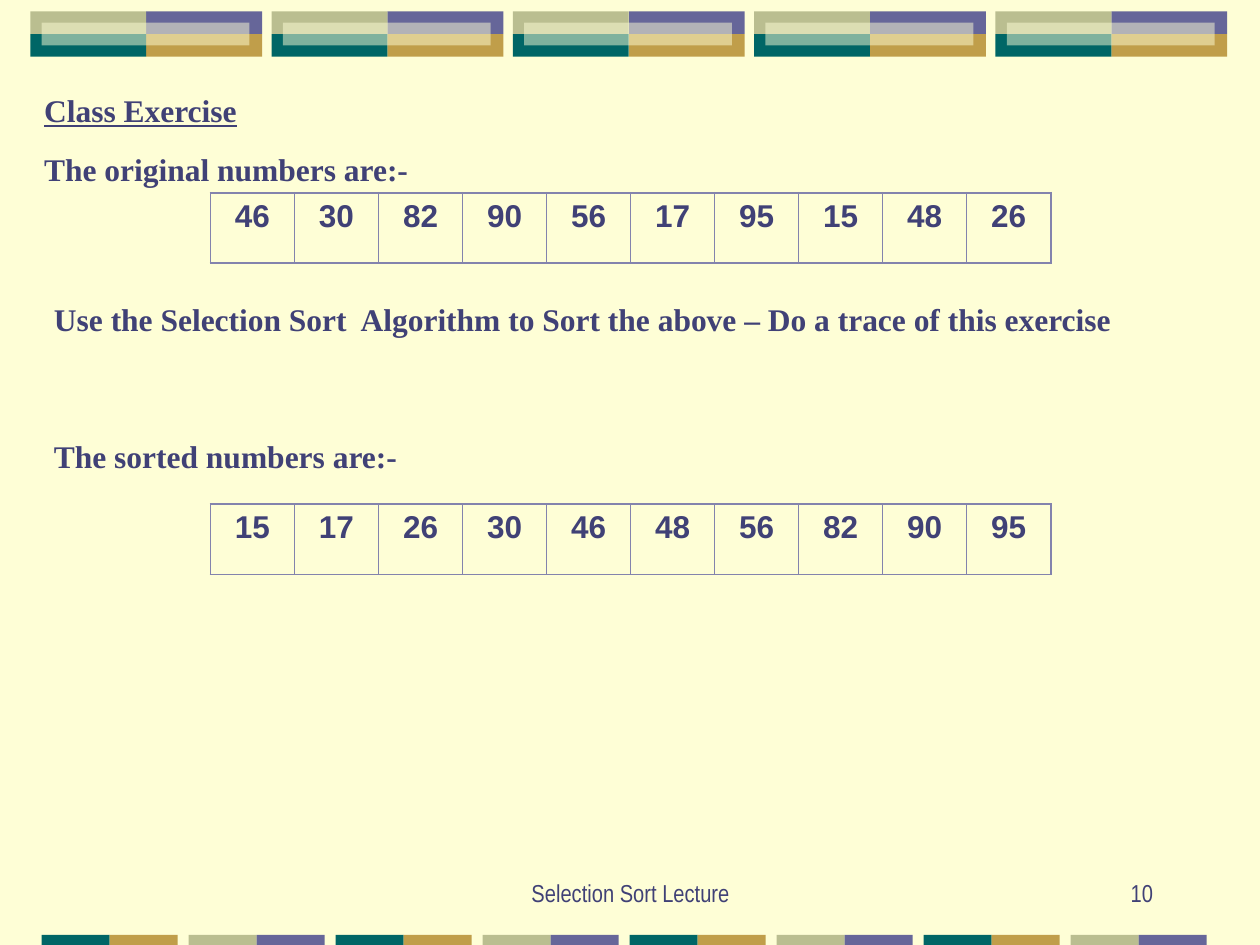
from lxml import etree
from pptx import Presentation
from pptx.dml.color import RGBColor
from pptx.enum import shapes, text
from pptx.oxml import ns
from pptx.util import Inches, Pt

COLORS = {
    "cream": "FEFED6", "ink": "404176", "border": "8383AD", "violet": "666699",
    "gold": "C09E4A", "teal": "006666", "sage": "BABE90",
}
SERIF, SANS, NARROW = "Times New Roman", "Arial", "Arial Narrow"
ORIGINAL = [46, 30, 82, 90, 56, 17, 95, 15, 48, 26]


def rgb(name):
    """Return the named palette colour."""
    return RGBColor.from_string(COLORS[name])


def add_block(group, left, top, width, height, color, opacity=None):
    """Add a borderless rectangle to a group."""
    sp = group.shapes.add_shape(
        shapes.MSO_SHAPE.RECTANGLE,
        Inches(left), Inches(top), Inches(width), Inches(height))
    sp.shadow.inherit = False
    sp.fill.solid()
    sp.fill.fore_color.rgb = rgb(color)
    sp.line.fill.background()
    if opacity is not None:
        clr = sp.fill._xPr.find(".//" + ns.qn("a:srgbClr"))
        etree.SubElement(clr, ns.qn("a:alpha"), val=str(opacity * 1000))


def add_top_band(s):
    """Add the row of five four-coloured tiles."""
    group = s.shapes.add_group_shape()
    width, height, top = 0.92, 0.18, 0.09
    quarters = [(1, 0, "violet"), (1, 1, "gold"), (0, 1, "teal"), (0, 0, "sage")]
    for i in range(5):
        left = 0.24 + i * 7.66 / 4
        for col, row, color in quarters:
            add_block(group, left + col * width, top + row * height,
                      width, height, color)
        add_block(group, left + 0.09, top + height / 2, 1.65, height, "cream", 50)


def add_bottom_band(s):
    """Add the row of eight two-coloured strips."""
    group = s.shapes.add_group_shape()
    pairs = [("teal", "gold"), ("sage", "violet")]
    for i in range(8):
        for half, color in enumerate(pairs[i % 2]):
            add_block(group, 0.33 + i * 7 / 6 + half * 0.54, 7.42, 0.54, 0.08, color)


def format_paragraph(p, font, size, bold, align):
    """Set the alignment of a paragraph and the font of its runs."""
    p.alignment = align
    for r in p.runs:
        r.font.name = font
        r.font.size = Pt(size)
        r.font.bold = bold
        r.font.color.rgb = rgb("ink")


def fill_box(sp, lines, box, font=SERIF, size=18, bold=True,
             align=text.PP_ALIGN.LEFT, anchor=text.MSO_ANCHOR.TOP):
    """Place a text shape and fill it with formatted lines."""
    sp.left, sp.top, sp.width, sp.height = map(Inches, box)
    tf = sp.text_frame
    tf.text = "\n".join(lines)
    tf.word_wrap = True
    tf.auto_size = text.MSO_AUTO_SIZE.NONE
    tf.vertical_anchor = anchor
    for i, p in enumerate(tf.paragraphs):
        p.space_before = Pt(12 if i else 0)
        format_paragraph(p, font, size, bold, align)


def add_text(s, line, box, **style):
    """Add a one-line text box."""
    fill_box(s.shapes.add_textbox(0, 0, 0, 0), [line], box, **style)


def set_borders(cell, widths):
    """Draw the cell borders, with widths in points by side."""
    tcPr = cell._tc.get_or_add_tcPr()
    for side in "LRTB":
        ln = etree.SubElement(tcPr, ns.qn(f"a:ln{side}"), w=str(Pt(widths[side])))
        fill = etree.SubElement(ln, ns.qn("a:solidFill"))
        etree.SubElement(fill, ns.qn("a:srgbClr"), val=COLORS["border"])


def add_number_row(s, numbers, top):
    """Add a one-row table of numbers with a heavier outer frame."""
    thin, thick = 0.45, 1.08
    last = len(numbers) - 1
    table = s.shapes.add_table(1, len(numbers), Inches(1.67), Inches(top),
                               Inches(6.67), Inches(0.56)).table
    table.first_row = table.horz_banding = False
    for i, number in enumerate(numbers):
        cell = table.cell(0, i)
        cell.text = str(number)
        set_borders(cell, {"L": thin if i else thick,
                           "R": thin if i < last else thick,
                           "T": thick, "B": thick})
        cell.fill.background()
        format_paragraph(cell.text_frame.paragraphs[0], SANS, 18, True,
                         text.PP_ALIGN.CENTER)


def main():
    """Build the class exercise slide."""
    prs = Presentation()
    prs.slide_width, prs.slide_height = Inches(10), Inches(7.5)
    s = prs.slides.add_slide(prs.slide_layouts[5])
    s.background.fill.solid()
    s.background.fill.fore_color.rgb = rgb("cream")
    add_top_band(s)
    add_bottom_band(s)

    title = s.shapes.title
    fill_box(title, ["Class Exercise", "The original numbers are:-"],
             (0.25, 0.67, 3.33, 0.86))
    title.text_frame.paragraphs[0].runs[0].font.underline = True
    add_number_row(s, ORIGINAL, 1.53)
    add_text(s, "Use the Selection Sort  Algorithm to Sort the above – "
             "Do a trace of this exercise", (0.33, 2.33, 8.92, 0.4))
    add_text(s, "The sorted numbers are:-", (0.33, 3.42, 3.33, 0.4))
    add_number_row(s, sorted(ORIGINAL), 4)

    footer = {"font": NARROW, "size": 14, "bold": False,
              "anchor": text.MSO_ANCHOR.BOTTOM}
    add_text(s, "Selection Sort Lecture", (3.42, 6.75, 3.17, 0.5),
             align=text.PP_ALIGN.CENTER, **footer)
    add_text(s, "10", (7.17, 6.75, 2.08, 0.5), align=text.PP_ALIGN.RIGHT, **footer)
    prs.save("out.pptx")


if __name__ == "__main__":
    main()
